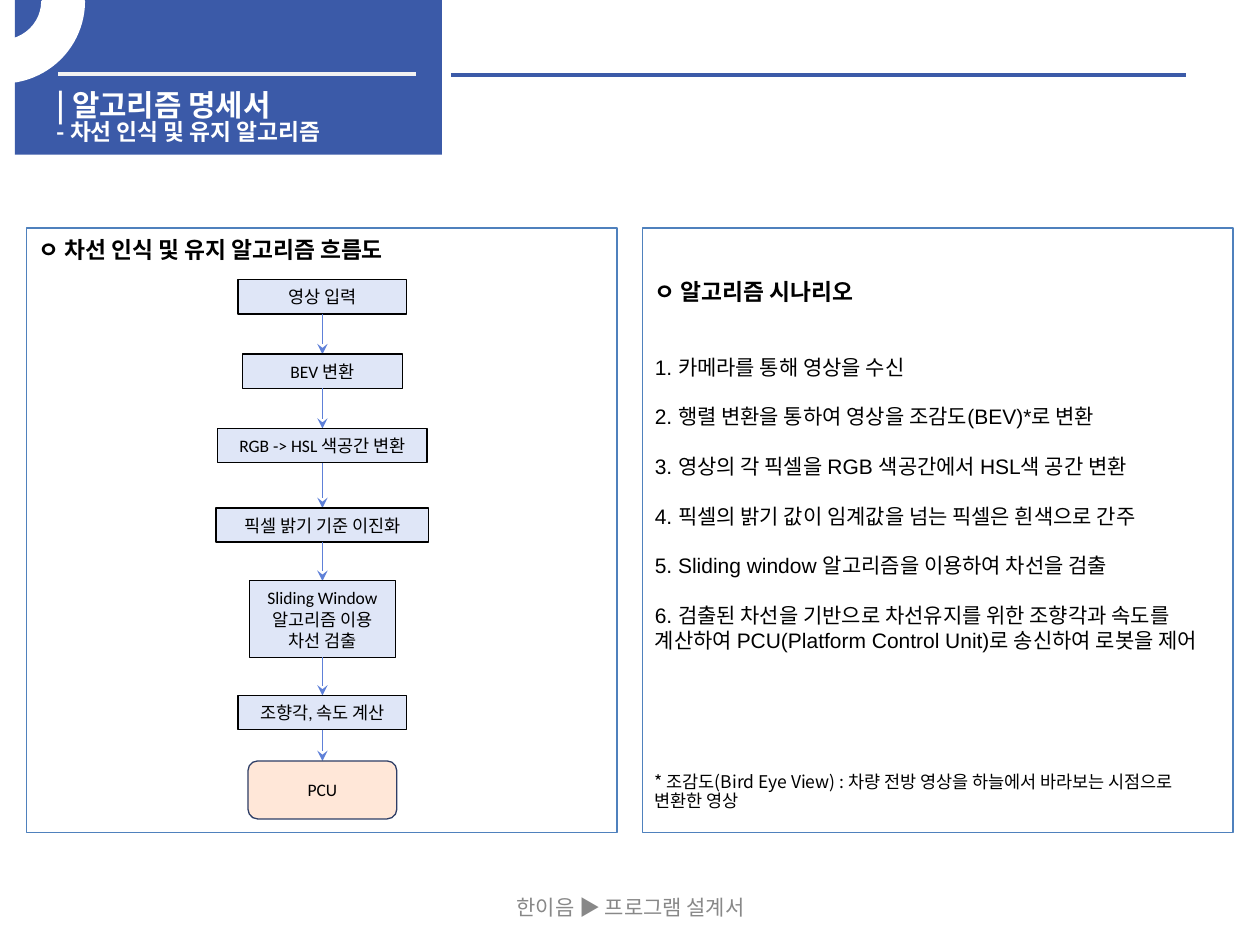
import pptx
import pptx.util
import pptx.dml.color
import pptx.enum.shapes
import pptx.enum.text
import pptx.oxml.ns
from lxml import etree

Cm, Pt = pptx.util.Cm, pptx.util.Pt
Kind = pptx.enum.shapes.MSO_SHAPE
Align = pptx.enum.text.PP_ALIGN
Anchor = pptx.enum.text.MSO_ANCHOR


def paint(target, color):
    target.rgb = pptx.dml.color.RGBColor.from_string(color)


class Deck:
    blue, pale, peach = "3B5AA8", "DFE6F7", "FFE7D8"
    frame, arrow, navy = "4F81BD", "5E80D8", "2E3E66"
    black, white, gray = "000000", "FFFFFF", "888888"
    noto = "Noto Sans CJK KR"
    left, mid = Align.LEFT, Align.CENTER
    inset = (0.25, 0.13, 0.25, 0.13)

    def __init__(self, wide, high):
        self.show = pptx.Presentation()
        self.show.slide_width, self.show.slide_height = Cm(wide), Cm(high)
        self.slide = self.show.slides.add_slide(self.show.slide_layouts[6])

    def shape(self, kind, area, fill=None, line=None, width=0.75):
        item = self.slide.shapes.add_shape(kind, *map(Cm, area))
        item.shadow.inherit = False
        if fill:
            item.fill.solid()
            paint(item.fill.fore_color, fill)
        else:
            item.fill.background()
        if line:
            paint(item.line.color, line)
            item.line.width = Pt(width)
        else:
            item.line.fill.background()
        return item

    def line(self, start, end, color, width, head=False):
        kind = pptx.enum.shapes.MSO_CONNECTOR.STRAIGHT
        item = self.slide.shapes.add_connector(kind, *map(Cm, start + end))
        paint(item.line.color, color)
        item.line.width = Pt(width)
        name = pptx.oxml.ns.qn
        props = item._element.spPr
        if head:
            etree.SubElement(props.find(name("a:ln")), name("a:tailEnd"),
                             type="stealth")
        etree.SubElement(props, name("a:effectLst"))

    def label(self, item, rows, font, color, align, anchor, inset=inset):
        frame = item.text_frame
        sides = ("left", "top", "right", "bottom")
        look = {f"margin_{side}": Cm(gap) for side, gap in zip(sides, inset)}
        look |= {"word_wrap": True, "vertical_anchor": anchor}
        for name, value in look.items():
            setattr(frame, name, value)
        for index, (text, size, bold, space, pitch) in enumerate(rows):
            para = frame.add_paragraph() if index else frame.paragraphs[0]
            form = {"alignment": align, "space_before": Pt(space),
                    "line_spacing": pitch}
            for name, value in form.items():
                setattr(para, name, value)
            run = para.add_run()
            run.text = text
            face = {"name": font, "size": Pt(size), "bold": bold}
            for name, value in face.items():
                setattr(run.font, name, value)
            paint(run.font.color, color)

    def text(self, area, rows, font, color, align=left, anchor=Anchor.TOP,
             inset=inset):
        item = self.slide.shapes.add_textbox(*map(Cm, area))
        self.label(item, rows, font, color, align, anchor, inset)

    def node(self, kind, words, area, fill, line):
        item = self.shape(kind, area, fill, line)
        self.label(item, [(words, 10, False, 0, 1.0)], "Calibri", self.black,
                   self.mid, Anchor.MIDDLE)


def banner(deck):
    deck.shape(Kind.RECTANGLE, (0.3, 0, 8.61, 3.12), deck.blue)
    deck.line((1.17, 1.5), (8.38, 1.5), "F2F2F2", 2.25)
    deck.line((9.09, 1.52), (23.9, 1.52), deck.blue, 2.25)
    deck.text((0.89, 1.7, 8.92, 0.76),
              [("| 알고리즘 명세서", 17, True, 0, 0.9),
               ("- 차선 인식 및 유지 알고리즘", 13, True, 0, 0.8)],
              deck.noto, deck.white)
    arc = deck.shape(Kind.BLOCK_ARC, (-1.6, -1.6, 3.28, 3.25),
                     deck.white, deck.white, 2)
    for index, value in enumerate((0, 108, 0.25)):
        arc.adjustments[index] = value


def flow(deck):
    deck.shape(Kind.RECTANGLE, (0.53, 4.6, 11.91, 12.19), line=deck.frame)
    deck.text((0.53, 4.62, 10.46, 0.81),
              [("ㅇ 차선 인식 및 유지 알고리즘 흐름도", 13, True, 0, 1.0)],
              "Arial", deck.black)
    steps = [
        ("영상 입력", 3.4, 5.64, 0.69),
        ("BEV 변환", 3.23, 7.14, 0.69),
        ("RGB -> HSL 색공간 변환", 4.22, 8.64, 0.69),
        ("픽셀 밝기 기준 이진화", 4.29, 10.24, 0.69),
        ("Sliding Window 알고리즘 이용 차선 검출", 2.95, 11.71, 1.54),
        ("조향각, 속도 계산", 3.4, 14.02, 0.69),
        ("PCU", 3, 15.34, 1.17),
    ]
    axis = 6.5
    for index, (words, wide, top, high) in enumerate(steps):
        last = index == len(steps) - 1
        kind, fill, line = (
            (Kind.ROUNDED_RECTANGLE, deck.peach, deck.navy) if last
            else (Kind.RECTANGLE, deck.pale, deck.black))
        deck.node(kind, words, (axis - wide / 2, top, wide, high), fill, line)
        if not last:
            deck.line((axis, top + high), (axis, steps[index + 1][2]),
                      deck.arrow, 1, head=True)


def story(deck):
    panel = deck.shape(Kind.RECTANGLE, (12.95, 4.6, 11.91, 12.19),
                       line=deck.frame)
    steps = [
        "1. 카메라를 통해 영상을 수신",
        "2. 행렬 변환을 통하여 영상을 조감도(BEV)*로 변환",
        "3. 영상의 각 픽셀을 RGB 색공간에서 HSL색 공간 변환",
        "4. 픽셀의 밝기 값이 임계값을 넘는 픽셀은 흰색으로 간주",
        "5. Sliding window 알고리즘을 이용하여 차선을 검출",
        "6. 검출된 차선을 기반으로 차선유지를 위한 조향각과 속도를 "
        "계산하여 PCU(Platform Control Unit)로 송신하여 로봇을 제어",
    ]
    rows = [("ㅇ 알고리즘 시나리오", 13, True, 0, 1.0)]
    rows += [(step, 12, False, 14 if index else 28, 1.0)
             for index, step in enumerate(steps)]
    deck.label(panel, rows, "Arial", deck.black, deck.left, Anchor.TOP,
               (0.25, 1, 0.25, 0.13))
    note = ("* 조감도(Bird Eye View) : 차량 전방 영상을 하늘에서 바라보는 "
            "시점으로 변환한 영상")
    deck.text((12.95, 15.34, 11.91, 1.37), [(note, 10, False, 0, 0.9)],
              deck.noto, deck.black, inset=(0.25,) * 4)


def main():
    deck = Deck(25.4, 19.05)
    flow(deck)
    story(deck)
    banner(deck)
    deck.text((8.69, 17.78, 8.05, 1.02),
              [("한이음 ▶ 프로그램 설계서", 12, False, 0, 1.0)],
              deck.noto, deck.gray, deck.mid, Anchor.MIDDLE)
    deck.show.save("out.pptx")


if __name__ == "__main__":
    main()
